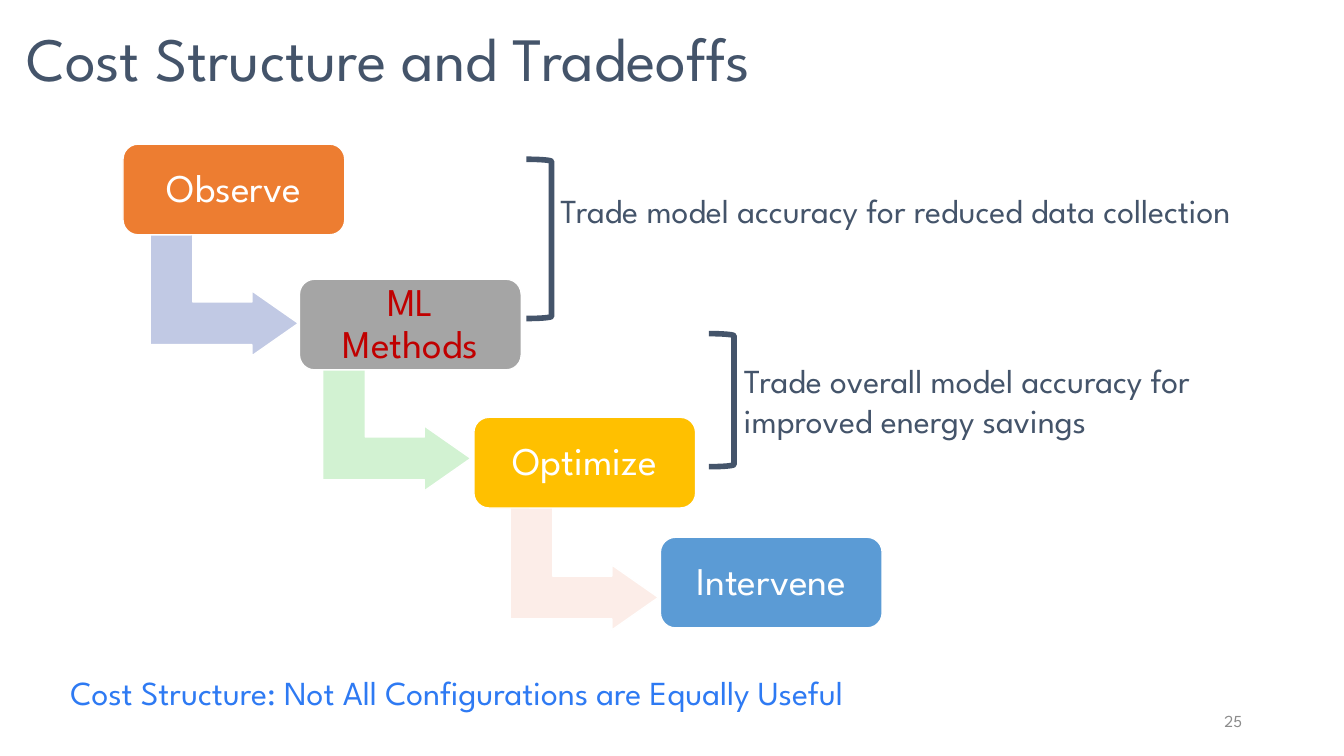
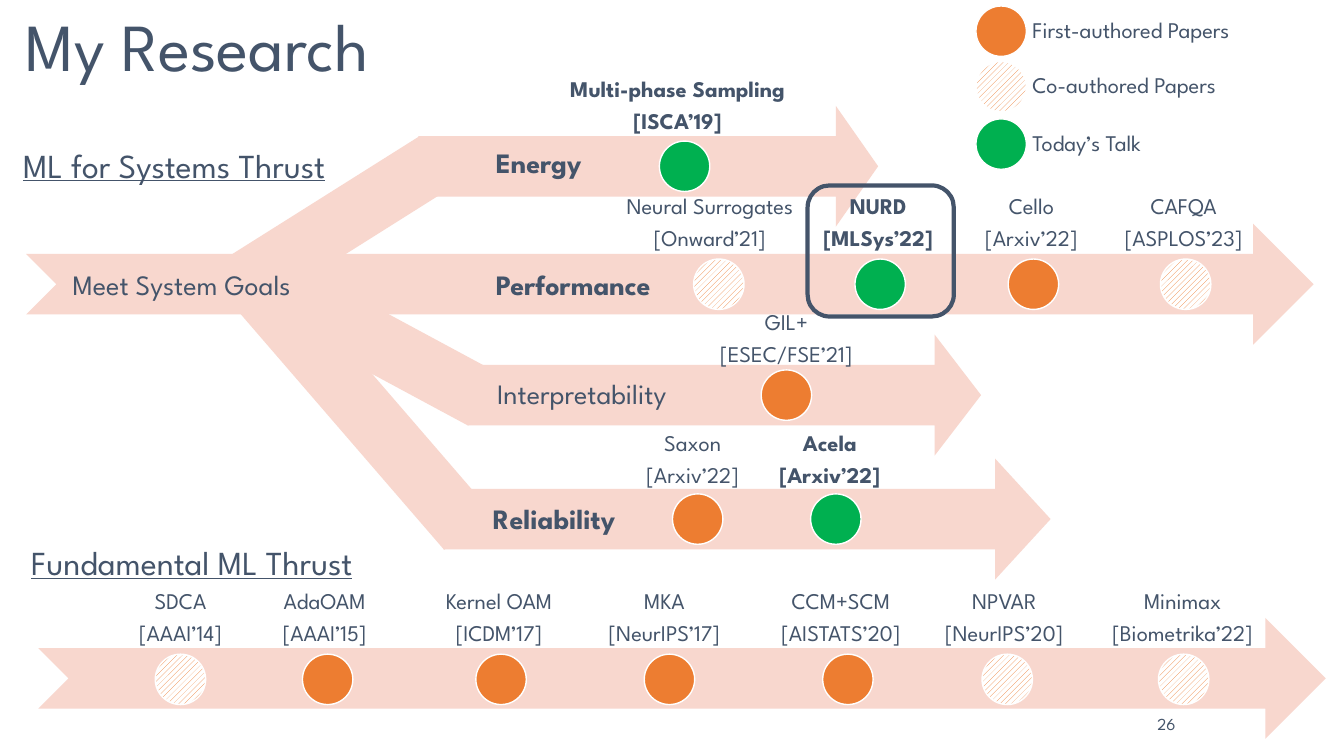
from dataclasses import dataclass

from pptx import Presentation
from pptx.dml.color import RGBColor
from pptx.enum import dml, shapes, text
from pptx.util import Inches, Pt

SHAPE = shapes.MSO_SHAPE
ALIGN = text.PP_ALIGN
ANCHOR = text.MSO_ANCHOR


@dataclass(frozen=True)
class Theme:
    font: str = "League Spartan"
    ink: str = "44546A"
    white: str = "FFFFFF"
    grey: str = "8C8C8C"
    blue: str = "2E7AF3"
    red: str = "C00000"
    band: str = "F8D7CE"
    orange: str = "ED7D31"
    green: str = "00B050"
    title: int = 44
    title_large: int = 48
    step: int = 28
    note: int = 24
    topic: int = 20
    paper: int = 16
    number: int = 12


T = Theme()
FIRST, COAUTHOR, TALK = "first", "coauthor", "talk"
DOT = 0.5
SHAFT = 0.6
HEAD = 1.2


def color(value):
    return RGBColor.from_string(value)


def box(item):
    return [Inches(v) for v in item]


def write(sp, content, size, ink=T.ink, align=ALIGN.LEFT, anchor=ANCHOR.MIDDLE,
          inset=(0.1, 0.05), bold=False, underline=False, spaced=False):
    """Fill a shape with text; spaced sets tight lines with gaps between paragraphs."""
    tf = sp.text_frame
    tf.text = content
    tf.word_wrap = True
    tf.auto_size = text.MSO_AUTO_SIZE.NONE
    tf.vertical_anchor = anchor
    tf.margin_left = tf.margin_right = Inches(inset[0])
    tf.margin_top = tf.margin_bottom = Inches(inset[1])
    for p in tf.paragraphs:
        p.alignment = align
        if spaced:
            p.line_spacing = 0.9
            p.space_after = Pt(size * 0.35)
        for r in p.runs:
            r.font.name = T.font
            r.font.size = Pt(size)
            r.font.bold = bold
            r.font.underline = underline
            r.font.color.rgb = color(ink)


def add_text(slide, at, content, size, **style):
    write(slide.shapes.add_textbox(*box(at)), content, size, **style)


def add_label(slide, at, content, size, **style):
    add_text(slide, at, content, size, inset=(0.16, 0.16), spaced=True, **style)


def paint(sp, fill=None, line=None, width=1):
    sp.shadow.inherit = False
    if fill:
        sp.fill.solid()
        sp.fill.fore_color.rgb = color(fill)
    else:
        sp.fill.background()
    if line:
        sp.line.color.rgb = color(line)
        sp.line.width = Pt(width)
    else:
        sp.line.fill.background()


def add_shape(slide, kind, at, fill=None, line=None, width=1, rotation=0):
    sp = slide.shapes.add_shape(kind, *box(at))
    paint(sp, fill, line, width)
    sp.rotation = rotation
    return sp


def add_slide(prs, title, title_at, size, number, number_at, number_ink):
    slide = prs.slides.add_slide(prs.slide_layouts[5])
    sp = slide.shapes.title
    sp.left, sp.top, sp.width, sp.height = box(title_at)
    write(sp, title, size, anchor=ANCHOR.BOTTOM)
    p = sp.text_frame.paragraphs[0]
    p.line_spacing = 0.9
    p.space_after = Pt(6)
    add_text(slide, number_at, number, T.number, ink=number_ink, align=ALIGN.RIGHT)
    return slide


def add_step(slide, left, top, name, fill, ink):
    sp = add_shape(slide, SHAPE.ROUNDED_RECTANGLE, (left, top, 2.2, 0.9), fill, T.white)
    write(sp, name, T.step, ink, ALIGN.CENTER, inset=(0.16, 0.16), spaced=True)


def add_step_arrow(slide, left, top, fill):
    sp = add_shape(slide, SHAPE.BENT_UP_ARROW, (left, top, 1.29, 1.47), fill, T.white,
                   rotation=90)
    for i, value in enumerate((0.328, 0.25, 0.358)):
        sp.adjustments[i] = value


def add_tradeoff(slide, bracket_at, note_at, note):
    add_shape(slide, SHAPE.RIGHT_BRACKET, bracket_at, line=T.ink, width=4)
    add_text(slide, note_at, note, T.note, anchor=ANCHOR.TOP)


def add_dot(slide, left, top, status):
    sp = add_shape(slide, SHAPE.OVAL, (left, top, DOT, DOT),
                   T.green if status == TALK else T.orange, T.white)
    if status == COAUTHOR:
        sp.fill.patterned()
        sp.fill.pattern = dml.MSO_PATTERN.WIDE_UPWARD_DIAGONAL
        sp.fill.fore_color.rgb = color(T.orange)
        sp.fill.back_color.rgb = color(T.white)


def add_papers(slide, label_top, dot_top, papers):
    """Draw one row of papers: name, venue, label centre, dot left, status."""
    width = 2.88
    for name, venue, centre, dot_left, status in papers:
        add_label(slide, (centre - width / 2, label_top, width, 0.62),
                  f"{name}\n[{venue}]", T.paper, align=ALIGN.CENTER, bold=status == TALK)
        add_dot(slide, dot_left, dot_top, status)


def add_branch(slide, left, middle, neck, tip, link_at, angle):
    """Draw an arrow and the slanted band that joins it to the main arrow."""
    half, wide = SHAFT / 2, HEAD / 2
    outline = [(left, -half), (neck, -half), (neck, -wide), (tip, 0), (neck, wide),
               (neck, half), (left, half), (left + 0.03, 0)]
    points = [(Inches(x), Inches(middle + dy)) for x, dy in outline]
    builder = slide.shapes.build_freeform(*points[0])
    builder.add_line_segments(points[1:], close=True)
    paint(builder.convert_to_shape(), T.band)
    add_shape(slide, SHAPE.RECTANGLE, (*link_at, SHAFT), T.band, rotation=angle)


def add_main_arrow(slide, left, top):
    add_shape(slide, SHAPE.NOTCHED_RIGHT_ARROW, (left, top, 12.77, HEAD), T.band)


def build_tradeoffs(prs):
    slide = add_slide(prs, "Cost Structure and Tradeoffs", (0.16, 0.24, 13.17, 0.75),
                      T.title, "25", (9.42, 6.95, 3, 0.4), T.grey)
    for arrow in [(1.58, 2.15, "C1C9E4"), (3.29, 3.49, "D2F2D2"), (5.15, 4.87, "FCEDE8")]:
        add_step_arrow(slide, *arrow)
    for step in [
        (1.22, 1.43, "Observe", T.orange, T.white),
        (2.97, 2.77, "ML Methods", "A5A5A5", T.red),
        (4.7, 4.14, "Optimize", "FFC000", T.white),
        (6.55, 5.33, "Intervene", "5B9BD5", T.white),
    ]:
        add_step(slide, *step)
    add_tradeoff(slide, (5.22, 1.58, 0.25, 1.58), (5.46, 1.83, 7.17, 0.91),
                 "Trade model accuracy for reduced data collection")
    add_tradeoff(slide, (7.03, 3.31, 0.25, 1.32), (7.28, 3.52, 5.69, 0.91),
                 "Trade overall model accuracy for improved energy savings")
    add_text(slide, (0.6, 6.62, 11.51, 0.5),
             "Cost Structure: Not All Configurations are Equally Useful",
             T.note, ink=T.blue, anchor=ANCHOR.TOP)


def build_research(prs):
    slide = add_slide(prs, "My Research", (0.15, 0.15, 11.17, 0.75),
                      T.title_large, "26", (8.76, 6.98, 3, 0.4), T.ink)
    add_branch(slide, 4.15, 1.65, 8.29, 8.71, (2.19, 1.92, 2.31), 327.8)
    add_branch(slide, 4.64, 3.92, 9.27, 9.73, (2.21, 3.01, 2.74), 28.3)
    add_branch(slide, 4.4, 5.15, 9.87, 10.42, (1.97, 3.74, 3.22), 49.2)
    add_main_arrow(slide, 0.26, 2.22)
    add_main_arrow(slide, 0.38, 6.13)

    for left, top, name, bold in [
        (4.76, 1.4, "Energy", True),
        (4.76, 2.61, "Performance", True),
        (4.77, 3.69, "Interpretability", False),
        (4.73, 4.93, "Reliability", True),
        (0.56, 2.61, "Meet System Goals", False),
    ]:
        add_label(slide, (left, top, 3.07, 0.47), name, T.topic, bold=bold)
    for left, top, name in [(0.07, 1.43, "ML for Systems Thrust"),
                            (0.15, 5.37, "Fundamental ML Thrust")]:
        add_label(slide, (left, top, 4.27, 0.47), name, T.note, underline=True)

    add_papers(slide, 0.74, 1.4, [("Multi-phase Sampling", "ISCA’19", 6.72, 6.54, TALK)])
    add_papers(slide, 1.9, 2.57, [
        ("Neural Surrogates", "Onward’21", 7.04, 6.88, COAUTHOR),
        ("NURD", "MLSys’22", 8.71, 8.48, TALK),
        ("Cello", "Arxiv’22", 10.23, 10, FIRST),
        ("CAFQA", "ASPLOS’23", 11.74, 11.51, COAUTHOR),
    ])
    add_papers(slide, 3.06, 3.67, [("GIL+", "ESEC/FSE’21", 7.8, 7.55, FIRST)])
    add_papers(slide, 4.26, 4.9, [
        ("Saxon", "Arxiv’22", 6.87, 6.67, FIRST),
        ("Acela", "Arxiv’22", 8.23, 8.04, TALK),
    ])
    add_papers(slide, 5.82, 6.49, [
        ("SDCA", "AAAI’14", 1.79, 1.54, COAUTHOR),
        ("AdaOAM", "AAAI’15", 3.22, 3, FIRST),
        ("Kernel OAM", "ICDM’17", 4.95, 4.72, FIRST),
        ("MKA", "NeurIPS’17", 6.59, 6.39, FIRST),
        ("CCM+SCM", "AISTATS’20", 8.34, 8.16, FIRST),
        ("NPVAR", "NeurIPS’20", 9.96, 9.74, COAUTHOR),
        ("Minimax", "Biometrika’22", 11.73, 11.49, COAUTHOR),
    ])
    add_shape(slide, SHAPE.ROUNDED_RECTANGLE, (8.01, 1.84, 1.45, 1.3), line=T.ink, width=3)

    for top, name, status in [(0, "First-authored Papers", FIRST),
                              (0.55, "Co-authored Papers", COAUTHOR),
                              (1.12, "Today’s Talk", TALK)]:
        add_dot(slide, 9.68, top + 0.06, status)
        add_label(slide, (10.08, top, 2.65, 0.62), name, T.paper)


def main():
    prs = Presentation()
    prs.slide_width, prs.slide_height = Inches(13.33), Inches(7.5)
    build_tradeoffs(prs)
    build_research(prs)
    prs.save("out.pptx")


if __name__ == "__main__":
    main()
